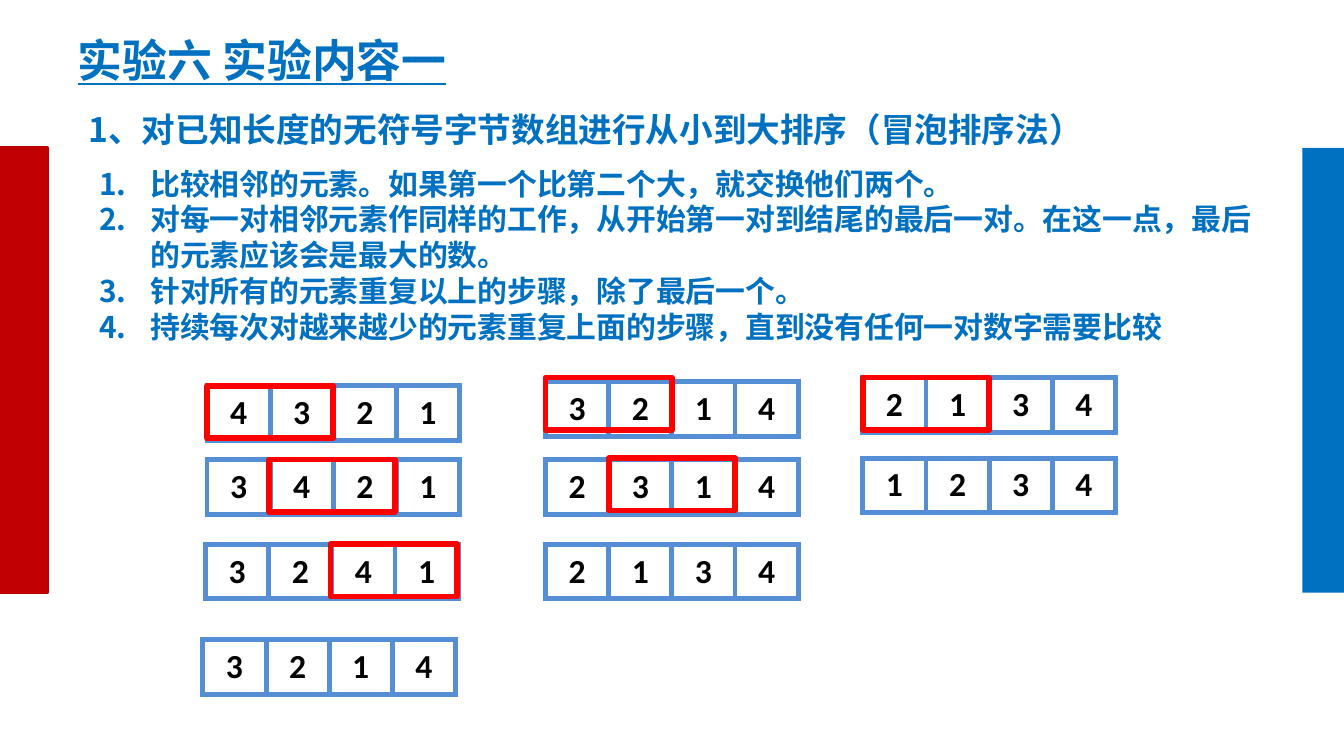
import pptx
import pptx.util
import pptx.dml.color
import pptx.enum.shapes
import pptx.enum.text
import pptx.oxml
import pptx.oxml.ns
from pptx.util import Inches

BLUE, RED, DARK_RED = "0070C0", "FF0000", "C00000"
CJK = "Noto Sans CJK SC"
CELL_W, CELL_H = 0.47, 0.4


def rgb(value):
    """Return a colour from a hex string."""
    return pptx.dml.color.RGBColor.from_string(value)


def write(tf, text, size=18, font=CJK, color=BLUE, underline=None, align="LEFT",
          spacing=None, indent=0, numbered=False):
    """Fill a text frame with one bold paragraph per line of text."""
    for i, line in enumerate(text.split("\n")):
        p = tf.paragraphs[0] if i == 0 else tf.add_paragraph()
        p.alignment = getattr(pptx.enum.text.PP_ALIGN, align)
        if spacing:
            p.line_spacing = pptx.util.Pt(spacing)
        pPr = p._p.get_or_add_pPr()
        if indent:
            pPr.set("marL", str(Inches(indent)))
            pPr.set("indent", str(-Inches(indent)))
        if numbered:
            pPr.append(pptx.oxml.parse_xml(
                '<a:buAutoNum %s type="arabicPeriod"/>' % pptx.oxml.ns.nsdecls("a")))
        r = p.add_run()
        r.text = line
        r.font.size = pptx.util.Pt(size)
        r.font.bold = True
        r.font.underline = underline
        r.font.color.rgb = rgb(color)
        r.font.name = font
        r._r.get_or_add_rPr().append(pptx.oxml.parse_xml(
            '<a:ea %s typeface="%s"/>' % (pptx.oxml.ns.nsdecls("a"), font)))


prs = pptx.Presentation()
prs.slide_width, prs.slide_height = pptx.util.Pt(720), pptx.util.Pt(405)
s = prs.slides.add_slide(prs.slide_layouts[5])

# Side bars
for x, w, color in [(0, 0.35, DARK_RED), (9.69, 0.35, BLUE)]:
    sp = s.shapes.add_shape(pptx.enum.shapes.MSO_SHAPE.RECTANGLE,
                            Inches(x), Inches(1.1), Inches(w), Inches(3.31))
    sp.shadow.inherit = False
    sp.fill.solid()
    sp.fill.fore_color.rgb = rgb(color)
    if color == DARK_RED:
        sp.line.color.rgb = rgb(color)
        sp.line.width = pptx.util.Pt(2)
    else:
        sp.line.fill.background()

# Title, task and steps
title = s.shapes.title
title.left, title.top = Inches(0.48), Inches(0.19)
title.width, title.height = Inches(2.99), Inches(0.5)
task = s.shapes.add_textbox(Inches(0.56), Inches(0.76), Inches(7.68), Inches(0.4))
steps = s.shapes.add_textbox(Inches(0.64), Inches(1.18), Inches(8.82), Inches(1.45))
for sp, wrap in [(title, False), (task, False), (steps, True)]:
    sp.text_frame.word_wrap = wrap
    sp.text_frame.auto_size = pptx.enum.text.MSO_AUTO_SIZE.NONE
    sp.text_frame.vertical_anchor = pptx.enum.text.MSO_ANCHOR.TOP

write(title.text_frame, "实验六 实验内容一", size=24, underline=True, spacing=28.8)
write(task.text_frame, "1、对已知长度的无符号字节数组进行从小到大排序（冒泡排序法）",
      spacing=21.6, indent=0.31)
write(steps.text_frame,
      "比较相邻的元素。如果第一个比第二个大，就交换他们两个。\n"
      "对每一对相邻元素作同样的工作，从开始第一对到结尾的最后一对。"
      "在这一点，最后的元素应该会是最大的数。\n"
      "针对所有的元素重复以上的步骤，除了最后一个。\n"
      "持续每次对越来越少的元素重复上面的步骤，直到没有任何一对数字需要比较",
      size=16, spacing=19.2, indent=0.38, numbered=True)

# Array states: left, top, digits, corner of the frame around the compared pair
states = [
    (1.54, 2.87, "4321", (1.54, 2.87)),
    (1.54, 3.42, "3421", (2.0, 3.42)),
    (1.53, 4.05, "3241", (2.46, 4.05)),
    (1.51, 4.76, "3214", None),
    (4.06, 2.84, "3214", (4.06, 2.81)),
    (4.06, 3.42, "2314", (4.53, 3.41)),
    (4.06, 4.05, "2134", None),
    (6.42, 2.81, "2134", (6.42, 2.81)),
    (6.42, 3.41, "1234", None),
]
for x, y, digits, frame in states:
    table = s.shapes.add_table(1, len(digits), Inches(x), Inches(y),
                               Inches(CELL_W * len(digits)), Inches(CELL_H)).table
    table.first_row = table.horz_banding = False
    for col, digit in enumerate(digits):
        table.columns[col].width = Inches(CELL_W)
        cell = table.cell(0, col)
        write(cell.text_frame, digit, font="Calibri", color="000000", align="CENTER")
        tcPr = cell._tc.get_or_add_tcPr()
        for side in ("lnL", "lnR", "lnT", "lnB"):
            tcPr.append(pptx.oxml.parse_xml(
                '<a:%s %s w="38100"><a:solidFill><a:srgbClr val="558ED5"/></a:solidFill></a:%s>'
                % (side, pptx.oxml.ns.nsdecls("a"), side)))
        cell.fill.background()
    if frame:
        sp = s.shapes.add_shape(pptx.enum.shapes.MSO_SHAPE.RECTANGLE, Inches(frame[0]),
                                Inches(frame[1]), Inches(2 * CELL_W), Inches(0.39))
        sp.shadow.inherit = False
        sp.fill.background()
        sp.line.color.rgb = rgb(RED)
        sp.line.width = pptx.util.Pt(3)

prs.save("out.pptx")
